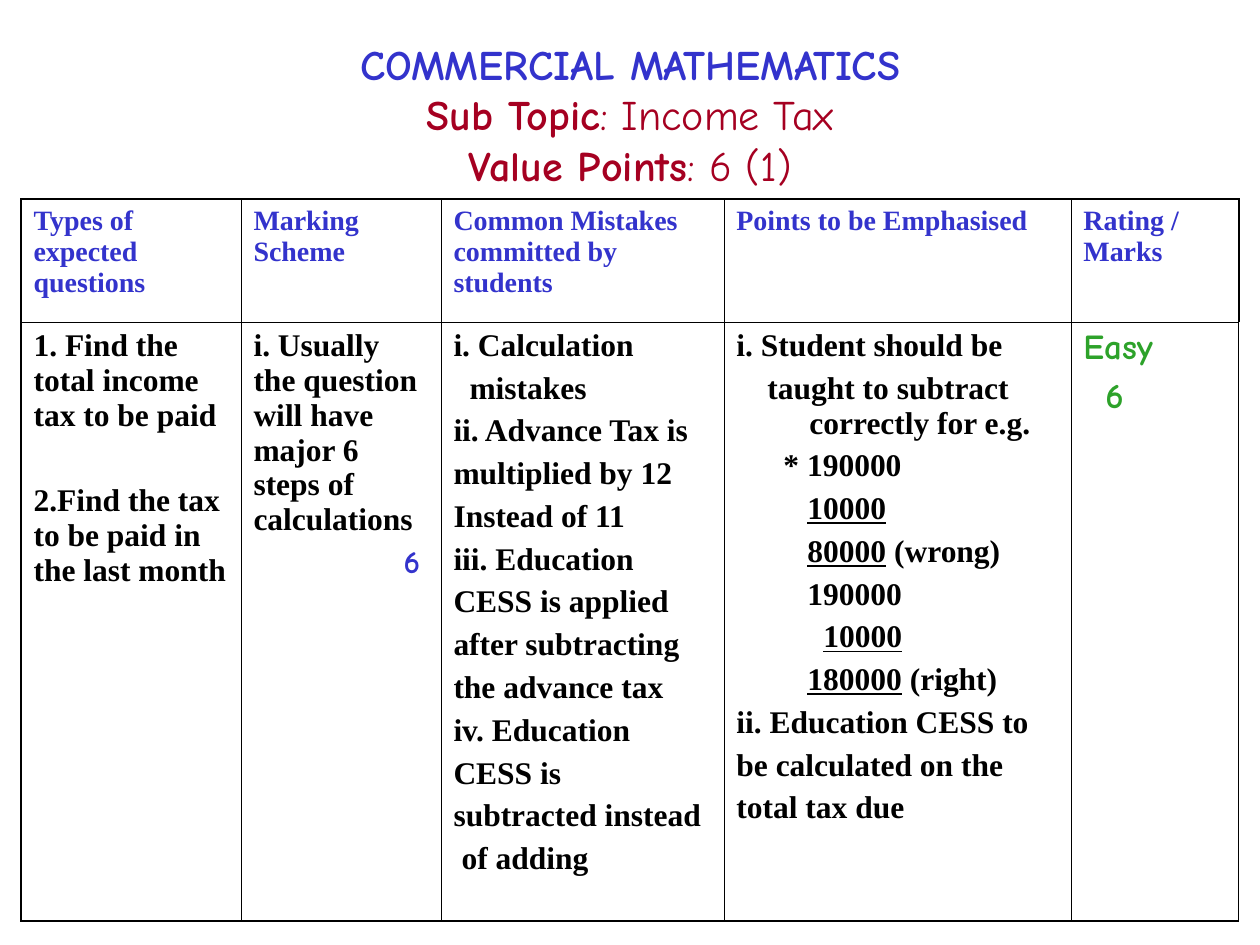
from lxml.etree import SubElement
from pptx import Presentation
from pptx.dml.color import RGBColor
from pptx.enum.text import MSO_ANCHOR, MSO_AUTO_SIZE, PP_ALIGN
from pptx.oxml.ns import qn
from pptx.util import Pt

PX = 914400 / 126
BLUE = RGBColor(0x33, 0x33, 0xCC)
RED = RGBColor(0xA5, 0x00, 0x21)
GREEN = RGBColor(0x2D, 0xA2, 0x2A)
BLACK = RGBColor(0x00, 0x00, 0x00)
SERIF, COMIC = "Times New Roman", "Comic Neue"
THIN, THICK = 0.45, 1.08
HANG = 73

TITLE_LINES = [
    [("COMMERCIAL MATHEMATICS", BLUE, True)],
    [("Sub Topic", RED, True), (": Income Tax", RED, False)],
    [("Value Points", RED, True), (": 6 (1)", RED, False)],
]
HEADINGS = [
    "Types of expected questions",
    "Marking Scheme",
    "Common Mistakes committed by students",
    "Points to be Emphasised",
    "Rating / Marks",
]
COLUMN_WIDTHS = [220, 200, 283, 347, 168]
ROW_HEIGHTS = [123, 599]


def px(length):
    return round(length * PX)


def line(text, under="", shift=0, before=4.5, **style):
    """Describe one paragraph; its part `under` comes first, underlined."""
    return {"text": text, "under": under, "shift": shift, "before": before, "style": style}


QUESTIONS = [
    line("1. Find the total income tax to be paid"),
    line("2.Find the tax to be paid in the last month", before=29),
]
SCHEME = [
    line("i. Usually the question will have major 6 steps of calculations"),
    line("6", shift=150, font=COMIC, color=BLUE),
]
MISTAKES = [
    line("i. Calculation"),
    line("mistakes", shift=16),
    line("ii. Advance Tax is"),
    line("multiplied by 12"),
    line("Instead of 11"),
    line("iii. Education"),
    line("CESS is applied"),
    line("after subtracting"),
    line("the advance tax"),
    line("iv. Education"),
    line("CESS is"),
    line("subtracted instead"),
    line("of adding", shift=8),
]
POINTS = [
    line("i. Student should be"),
    line("taught to subtract correctly for e.g.", shift=31),
    line("* 190000", shift=47),
    line("", under="10000", shift=71),
    line(" (wrong)", under="80000", shift=71),
    line("190000", shift=71),
    line("", under="10000", shift=87),
    line(" (right)", under="180000", shift=71),
    line("ii. Education CESS to"),
    line("be calculated on the"),
    line("total tax due"),
]
RATING_STYLE = {"font": COMIC, "size": 20, "color": GREEN}
RATING = [
    line("Easy", **RATING_STYLE),
    line("6", shift=22, before=5, **RATING_STYLE),
]
# Each body cell: its lines and the left margin of wrapped text.
BODY = [(QUESTIONS, 0), (SCHEME, 0), (MISTAKES, HANG), (POINTS, HANG), (RATING, HANG)]


def add_span(para, text, font=SERIF, size=18, color=BLACK, bold=True, underline=False):
    span = para.add_run()
    span.text = text
    span.font.name = font
    span.font.size = Pt(size)
    span.font.color.rgb = color
    span.font.bold = bold
    span.font.underline = underline


def paragraphs(frame, items):
    """Yield each item with its paragraph, adding paragraphs as needed."""
    for index, item in enumerate(items):
        yield (frame.add_paragraph() if index else frame.paragraphs[0]), item


def set_borders(cell, widths):
    properties = cell._tc.get_or_add_tcPr()
    for side, width in zip("LRTB", widths):
        border = SubElement(properties, qn(f"a:ln{side}"), w=str(Pt(width)))
        fill = SubElement(border, qn("a:solidFill"))
        SubElement(fill, qn("a:srgbClr"), val=str(BLACK))


def fill_body_cell(cell, lines, margin):
    for index, (para, item) in enumerate(paragraphs(cell.text_frame, lines)):
        properties = para._p.get_or_add_pPr()
        properties.set("marL", str(px(margin)))
        properties.set("indent", str(px(item["shift"] - margin)))
        para.space_before = Pt(item["before"] if index else 0)
        if item["under"]:
            add_span(para, item["under"], underline=True, **item["style"])
        if item["text"]:
            add_span(para, item["text"], **item["style"])


def add_title(page, left, top, width, height):
    title = page.shapes.title
    title.left, title.top, title.width, title.height = map(px, (left, top, width, height))
    frame = title.text_frame
    frame.word_wrap = True
    frame.auto_size = MSO_AUTO_SIZE.NONE
    frame.vertical_anchor = MSO_ANCHOR.TOP
    for para, spans in paragraphs(frame, TITLE_LINES):
        para.alignment = PP_ALIGN.CENTER
        for text, color, bold in spans:
            add_span(para, text, font=COMIC, size=24, color=color, bold=bold)


def add_marking_table(page, left, top):
    size = sum(COLUMN_WIDTHS), sum(ROW_HEIGHTS)
    table = page.shapes.add_table(
        len(ROW_HEIGHTS), len(COLUMN_WIDTHS), *map(px, (left, top, *size))
    ).table
    table.first_row = table.horz_banding = False
    for row, height in zip(table.rows, ROW_HEIGHTS):
        row.height = px(height)
    last = len(COLUMN_WIDTHS) - 1
    for index, width in enumerate(COLUMN_WIDTHS):
        table.columns[index].width = px(width)
        heading, body = table.cell(0, index), table.cell(1, index)
        outer_left = THICK if index == 0 else THIN
        outer_right = THICK if index == last else THIN
        set_borders(heading, (outer_left, outer_right, THICK, THIN))
        set_borders(body, (outer_left, THIN, THIN, THICK))
        for cell in (heading, body):
            cell.fill.background()
        add_span(heading.text_frame.paragraphs[0], HEADINGS[index], size=16, color=BLUE)
        fill_body_cell(body, *BODY[index])


def main():
    deck = Presentation()
    deck.slide_width, deck.slide_height = px(1260), px(945)
    page = deck.slides.add_slide(deck.slide_layouts[5])
    add_marking_table(page, 21, 199)
    add_title(page, 105, 32, 1050, 164)
    deck.save("out.pptx")


if __name__ == "__main__":
    main()
